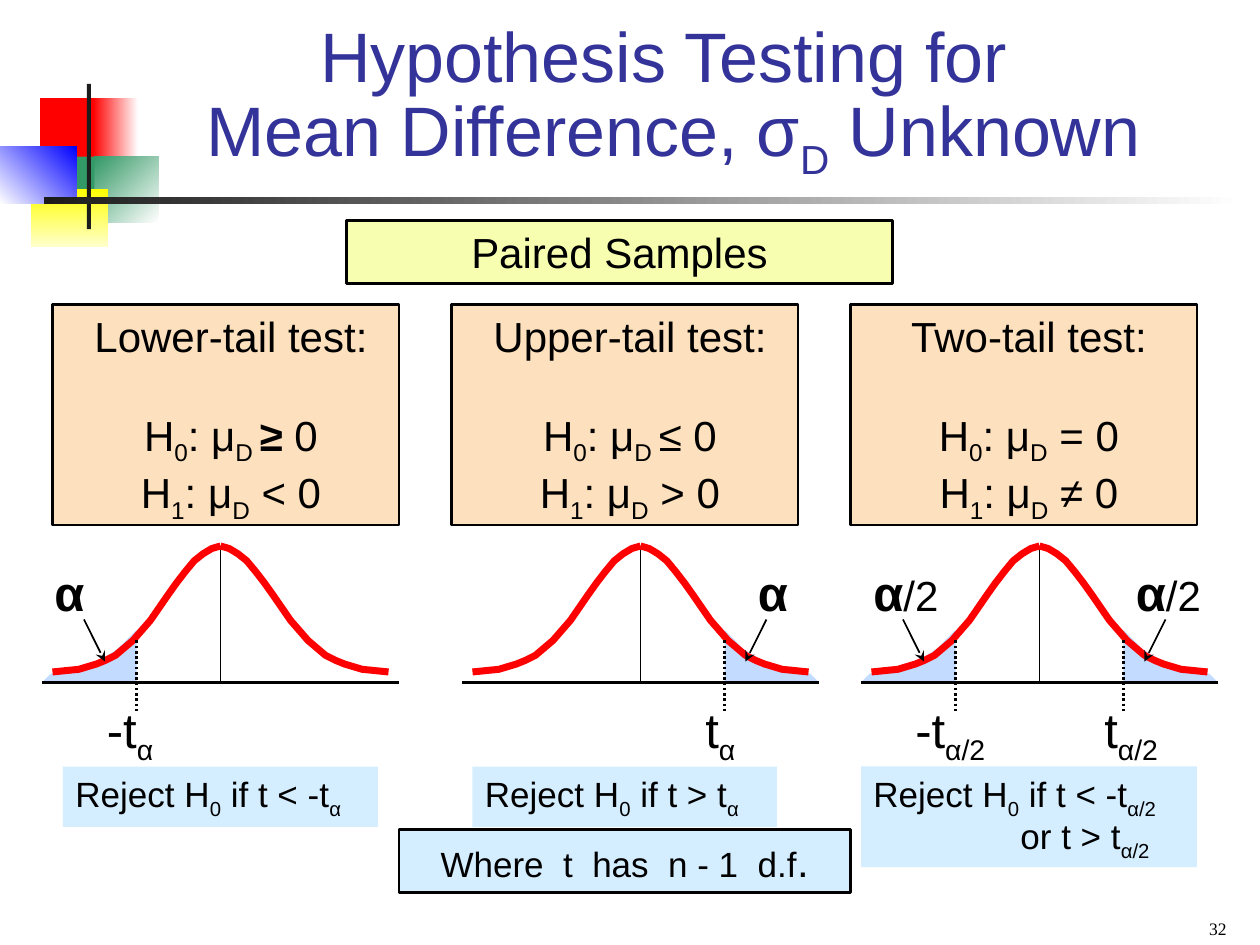
"""Build the slide on hypothesis tests for a mean difference of paired samples."""
import pptx
import pptx.dml.color
import pptx.enum.dml
import pptx.enum.shapes
import pptx.enum.text
import pptx.oxml
import pptx.oxml.ns
import pptx.util

Pt = pptx.util.Pt
ALIGN = pptx.enum.text.PP_ALIGN
ANCHOR = pptx.enum.text.MSO_ANCHOR
RECTANGLE = pptx.enum.shapes.MSO_SHAPE.RECTANGLE

COLORS = {
    "black": "000000", "white": "FFFFFF", "title": "333399", "dark": "1C1C1C",
    "red": "FF0000", "green": "339966", "yellow": "FFFF00", "cream": "FFFFCC",
    "blue": "0000FF", "peach": "FDE0BD", "lime": "F7FEB0", "sky": "D5EEFF", "tail": "C3DBFF",
}
SUB, BOLD, SMALL = "sub", "bold", "small"

TITLE = ["Hypothesis Testing for \vMean Difference, σ", ("D", SUB), " Unknown"]
DECORATIONS = [
    ((23, 56, 34.5, 37.5), ("red",), None),
    ((53, 56, 26, 37.5), ("white", "red"), 180),
    ((54, 89.5, 36.5, 37.5), ("white", "green"), 225),
    ((31, 89.5, 23, 37.5), ("green",), None),
    ((18, 108, 44, 33), ("yellow", "cream"), 90),
    ((0, 83.5, 44, 33), ("blue", "white"), 135),
    ((49.7, 48, 2.3, 83), ("dark",), None),
    ((25, 112.5, 685, 4), ("white", "dark"), 180),
]
TESTS = [
    {
        "name": "Lower-tail test:", "center": 126, "sides": [-1], "alpha": "α",
        "null": ["H", ("0", SUB), ": μ", ("D ", SUB), ("≥", BOLD), " 0"],
        "alternative": " < 0", "label_left": [-72],
        "reject": [["Reject H", ("0", SUB), " if t < -t", ("α", SUB)]],
        "reject_box": (36, 438, 180, 34.5),
    },
    {
        "name": "Upper-tail test:", "center": 366, "sides": [1], "alpha": "α",
        "null": ["H", ("0", SUB), ": μ", ("D ", SUB), "≤ 0"],
        "alternative": " > 0", "label_left": [30],
        "reject": [["Reject H", ("0", SUB), " if t > t", ("α", SUB)]],
        "reject_box": (270, 438, 174, 34.5),
    },
    {
        "name": "Two-tail test:", "center": 594, "sides": [-1, 1], "alpha": "α/2",
        "null": ["H", ("0", SUB), ": μ", ("D", SUB), " = 0"],
        "alternative": " ≠ 0", "label_left": [-78, 30],
        "reject": [["Reject H", ("0", SUB), " if t < -t", ("α/2", SUB)],
                   ["or t > t", ("α/2", SUB)]],
        "reject_box": (492, 438, 192, 57.6),
    },
]
CURVE = [(96, 72), (86, 71), (81, 70.5), (76, 69), (71, 67.5), (66, 65.5), (60, 62.5), (50, 54),
         (40, 42.5), (30, 28), (25, 21), (20, 14.5), (15, 8.5), (10, 4.5), (5, 1.5), (0, 0)]
TAIL = [(102, 78), (97, 73), (79, 69.5), (70, 66), (59, 59), (48, 48), (48, 78)]
ARROW = {-1: (-78, -66), 1: (72, 60)}
ALPHA_LEFT = {(-1, 1): -102, (1, 1): 60, (-1, 3): -102, (1, 3): 48}
CURVE_TOP, AXIS, CUTOFF = 312, 390, 48


def rgb(name):
    return pptx.dml.color.RGBColor.from_string(COLORS[name])


def write(frame, paragraphs, size, align=ALIGN.LEFT, color="black", font="Arial"):
    frame.word_wrap = True
    frame.auto_size = pptx.enum.text.MSO_AUTO_SIZE.NONE
    frame.margin_left = frame.margin_right = Pt(7.2)
    frame.margin_top = frame.margin_bottom = Pt(3.6)
    for index, spans in enumerate(paragraphs):
        para = frame.add_paragraph() if index else frame.paragraphs[0]
        para.alignment = align
        para.font.size, para.font.name = Pt(size), font
        para.font.color.rgb = rgb(color)
        for item in spans:
            words, style = item if isinstance(item, tuple) else (item, None)
            for number, line in enumerate(words.split("\v")):
                if number:
                    para.add_line_break()
                span = para.add_run()
                span.text = line
                if style == SUB:
                    span._r.get_or_add_rPr().set("baseline", "-25000")
                elif style == BOLD:
                    span.font.bold = True
                elif style == SMALL:
                    span.font.size = Pt(24)
    return frame


def add_text(page, place, paragraphs, size, **options):
    box = page.shapes.add_textbox(*map(Pt, place))
    return write(box.text_frame, paragraphs, size, **options)


def paint(shape, fill=None, line=None, width=1.5):
    shape.shadow.inherit = False
    if fill:
        shape.fill.solid()
        shape.fill.fore_color.rgb = rgb(fill)
    else:
        shape.fill.background()
    if line:
        shape.line.color.rgb, shape.line.width = rgb(line), Pt(width)
    else:
        shape.line.fill.background()


def add_panel(page, place, fill, line=None):
    panel = page.shapes.add_shape(RECTANGLE, *map(Pt, place))
    paint(panel, fill, line)
    panel.text_frame.vertical_anchor = ANCHOR.TOP
    return panel


def add_decoration(page, place, colors, angle):
    block = add_panel(page, place, colors[0])
    if angle is not None:
        block.fill.gradient()
        block.fill.gradient_angle = 360 - angle
        for stop, color in zip(block.fill.gradient_stops, colors):
            stop.color.rgb = rgb(color)


def add_line(page, start, end, width, dash=None, arrow=False):
    line = page.shapes.add_connector(
        pptx.enum.shapes.MSO_CONNECTOR.STRAIGHT, *map(Pt, start + end))
    line.line.color.rgb, line.line.width = rgb("black"), Pt(width)
    if dash:
        line.line.dash_style = dash
    if arrow:
        head = pptx.oxml.parse_xml(f'<a:tailEnd {pptx.oxml.ns.nsdecls("a")} type="stealth"/>')
        line.line._get_or_add_ln().append(head)
    line._element.spPr.append(pptx.oxml.parse_xml(f'<a:effectLst {pptx.oxml.ns.nsdecls("a")}/>'))


def add_outline(page, center, side, offsets, closed):
    points = [(Pt(center + side * x), Pt(CURVE_TOP + y)) for x, y in offsets]
    builder = page.shapes.build_freeform(*points[0])
    builder.add_line_segments(points[1:], close=closed)
    return builder.convert_to_shape()


def add_test(page, test):
    center, sides, alpha = test["center"], test["sides"], test["alpha"]
    add_line(page, (center, CURVE_TOP), (center, AXIS), 0.75)
    for side in sides:
        paint(add_outline(page, center, side, TAIL, True), "tail")
    for side in (-1, 1):
        paint(add_outline(page, center, side, CURVE, False), line="red", width=4)
    add_line(page, (center - 102, AXIS), (center + 102, AXIS), 2)
    for side, left in zip(sides, test["label_left"]):
        start, end = ARROW[side]
        add_line(page, (center + start, 354), (center + end, 378), 1, arrow=True)
        place = (center + ALPHA_LEFT[side, len(alpha)], 318, 30 if alpha == "α" else 66, 40)
        spans = [("α", BOLD)] + ([("/2", SMALL)] if alpha != "α" else [])
        add_text(page, place, [spans], 28)
        sign = "-t" if side < 0 else "t"
        add_text(page, (center + left, 396, 78, 45), [[sign, (alpha, SUB)]], 28)
        cutoff = center + side * CUTOFF
        add_line(page, (cutoff, 366), (cutoff, 408), 1.5,
                 dash=pptx.enum.dml.MSO_LINE.ROUND_DOT)
    panel = add_panel(page, test["reject_box"], "sky")
    frame = write(panel.text_frame, test["reject"], 20)
    for para in frame.paragraphs[1:]:
        para.line_spacing = Pt(24)
        para._p.get_or_add_pPr().set("marL", str(Pt(84)))


def main():
    deck = pptx.Presentation()
    deck.slide_width, deck.slide_height = Pt(720), Pt(540)
    page = deck.slides.add_slide(deck.slide_layouts[5])
    title = page.shapes.title
    title.left, title.top, title.width, title.height = map(Pt, (78, 18, 613.5, 84))
    write(title.text_frame, [TITLE], 40, ALIGN.CENTER, "title")
    title.text_frame.vertical_anchor = ANCHOR.BOTTOM
    title.text_frame.paragraphs[0].line_spacing = 0.8
    for decoration in DECORATIONS:
        add_decoration(page, *decoration)
    add_panel(page, (198, 126, 312, 36), "lime", "black")
    add_text(page, (216, 126, 276, 36), [["Paired Samples"]], 24, align=ALIGN.CENTER)
    for column, test in enumerate(TESTS):
        left = 30 + 228 * column
        add_panel(page, (left, 174, 198, 126), "peach", "black")
        alternative = ["H", ("1", SUB), ": μ", ("D", SUB), test["alternative"]]
        frame = add_text(page, (left - 6, 174, 216, 130),
                         [[test["name"]], test["null"], alternative], 24, align=ALIGN.CENTER)
        frame.paragraphs[1].space_before = Pt(27.6)
        add_test(page, test)
    note = add_panel(page, (228, 474, 258, 36), "sky", "black")
    write(note.text_frame, [["Where  t  has  n - 1  d.f", (".", SMALL)]], 20, ALIGN.CENTER)
    number = add_text(page, (540, 514.8, 168, 25.2), [["32"]], 10,
                      align=ALIGN.RIGHT, font="Times New Roman")
    number.vertical_anchor = ANCHOR.BOTTOM
    deck.save("out.pptx")


if __name__ == "__main__":
    main()
